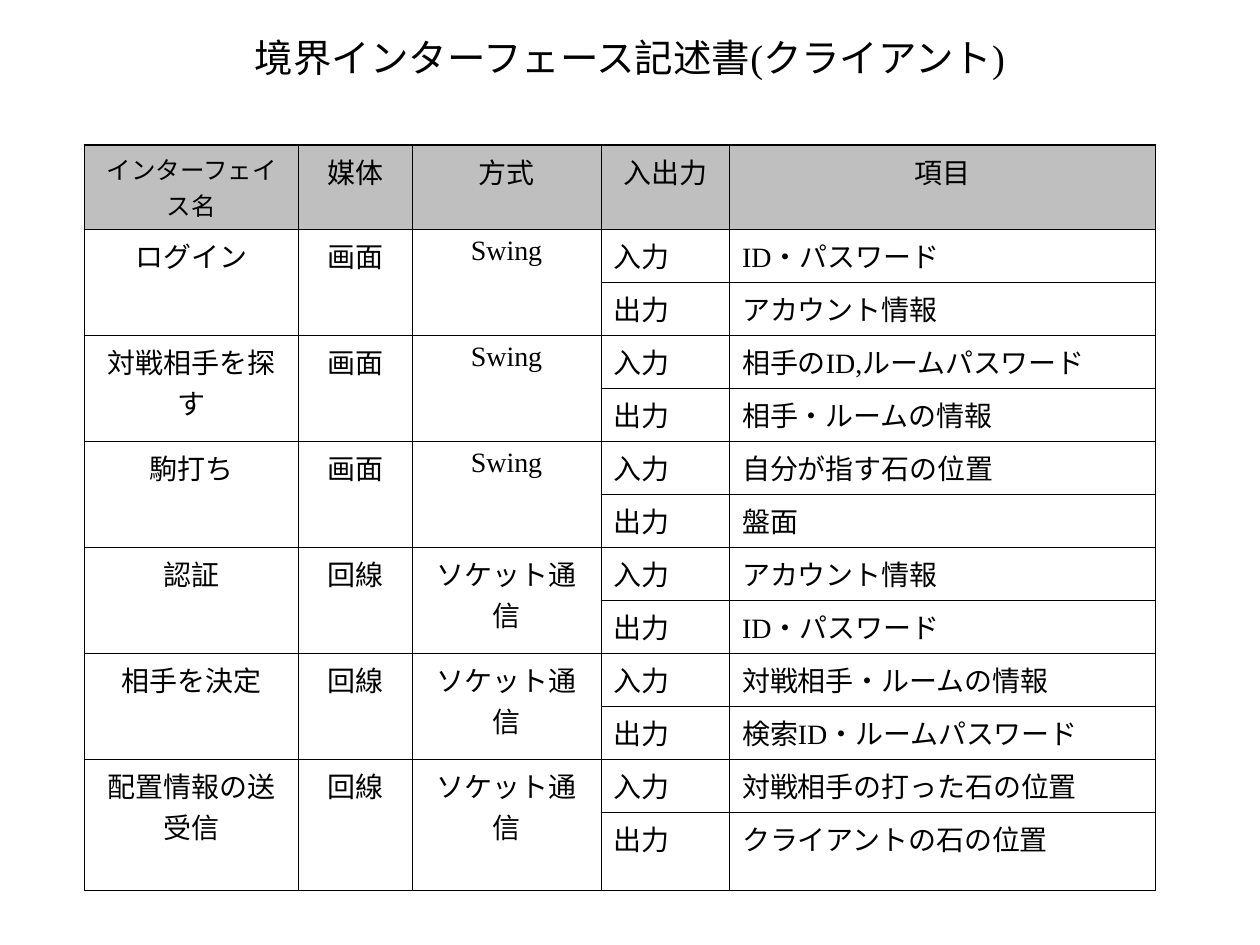
from pptx import Presentation
from pptx.dml.color import RGBColor
from pptx.enum.text import MSO_ANCHOR, MSO_AUTO_SIZE, PP_ALIGN
from pptx.oxml import parse_xml
from pptx.oxml.ns import nsdecls
from pptx.util import Inches, Pt

BLACK = RGBColor(0, 0, 0)
GREY = RGBColor(0xBF, 0xBF, 0xBF)
FONT = "Times New Roman"
THIN, THICK = Pt(0.45), Pt(1.08)

# The slide is a grid of 100 columns by 75 rows.
GRID_COLUMNS, GRID_ROWS = 100, 75
UNIT = Inches(0.1)
TITLE_BOX = (7.5, 2.1, 85, 4.8)
TABLE_BOX = (6.7, 11.5, 85, 59.1)
COLUMN_WIDTHS = (17, 9, 15, 10.2, 33.8)
HEADER_HEIGHT, ROW_HEIGHT, LAST_HEIGHT = 6.7, 4.2, 6.2

TITLE = "境界インターフェース記述書(クライアント)"
HEADERS = ("インターフェイス名", "媒体", "方式", "入出力", "項目")
# name, medium, method, input item, output item
INTERFACES = (
    ("ログイン", "画面", "Swing", "ID・パスワード", "アカウント情報"),
    ("対戦相手を探す", "画面", "Swing", "相手のID,ルームパスワード", "相手・ルームの情報"),
    ("駒打ち", "画面", "Swing", "自分が指す石の位置", "盤面"),
    ("認証", "回線", "ソケット通信", "アカウント情報", "ID・パスワード"),
    ("相手を決定", "回線", "ソケット通信", "対戦相手・ルームの情報", "検索ID・ルームパスワード"),
    ("配置情報の送受信", "回線", "ソケット通信", "対戦相手の打った石の位置", "クライアントの石の位置"),
)


def grid(value):
    return round(value * UNIT)


def write(frame, text, size, align, space_before=0):
    para = frame.paragraphs[0]
    para.alignment = align
    para.space_before = Pt(space_before)
    span = para.add_run()
    span.text = text
    for name, value in {"name": FONT, "size": Pt(size), "bold": False}.items():
        setattr(span.font, name, value)
    span.font.color.rgb = BLACK


def add_title(page, box):
    title = page.shapes.title
    for name, value in zip(("left", "top", "width", "height"), box):
        setattr(title, name, grid(value))
    frame = title.text_frame
    settings = {
        "auto_size": MSO_AUTO_SIZE.NONE,
        "word_wrap": True,
        "vertical_anchor": MSO_ANCHOR.MIDDLE,
    }
    for name, value in settings.items():
        setattr(frame, name, value)
    write(frame, TITLE, 22, PP_ALIGN.CENTER)


def draw_borders(cell, **widths):
    properties = cell._tc.get_or_add_tcPr()
    for side, width in widths.items():
        properties.append(parse_xml(
            f'<a:ln{side} {nsdecls("a")} w="{int(width)}"><a:solidFill>'
            f'<a:srgbClr val="{BLACK}"/></a:solidFill></a:ln{side}>'
        ))


def style_cells(table):
    """Give every cell its borders and fill, with a heavier frame."""
    last_column = len(table.columns) - 1
    for r, row in enumerate(table.rows):
        for c, cell in enumerate(row.cells):
            draw_borders(
                cell,
                L=THIN if c else THICK,
                R=THICK if c == last_column else THIN,
                T=THIN if r else THICK,
                B=THIN,
            )
            if r:
                cell.fill.background()
            else:
                cell.fill.solid()
                cell.fill.fore_color.rgb = GREY


def add_interface(table, top, interface):
    """Fill the pair of rows that describes one interface."""
    *shared, input_item, output_item = interface
    for c, text in enumerate(shared):
        cell = table.cell(top, c)
        cell.merge(table.cell(top + 1, c))
        write(cell.text_frame, text, 16, PP_ALIGN.CENTER, 4)
    for r, pair in enumerate((("入力", input_item), ("出力", output_item)), top):
        for c, text in enumerate(pair, len(shared)):
            write(table.cell(r, c).text_frame, text, 16, PP_ALIGN.LEFT, 4)


def add_interface_table(page, box):
    body_rows = 2 * len(INTERFACES)
    table = page.shapes.add_table(
        body_rows + 1, len(HEADERS), *map(grid, box)
    ).table
    for column, width in zip(table.columns, COLUMN_WIDTHS):
        column.width = grid(width)
    heights = [HEADER_HEIGHT, *[ROW_HEIGHT] * (body_rows - 1), LAST_HEIGHT]
    for row, height in zip(table.rows, heights):
        row.height = grid(height)
    style_cells(table)
    for c, text in enumerate(HEADERS):
        size, space = (16, 4) if c else (14, 3.5)
        write(table.cell(0, c).text_frame, text, size, PP_ALIGN.CENTER, space)
    for i, interface in enumerate(INTERFACES):
        add_interface(table, 1 + 2 * i, interface)


def main():
    deck = Presentation()
    deck.slide_width = grid(GRID_COLUMNS)
    deck.slide_height = grid(GRID_ROWS)
    page = deck.slides.add_slide(deck.slide_layouts.get_by_name("Title Only"))
    add_title(page, TITLE_BOX)
    add_interface_table(page, TABLE_BOX)
    deck.save("out.pptx")


if __name__ == "__main__":
    main()
